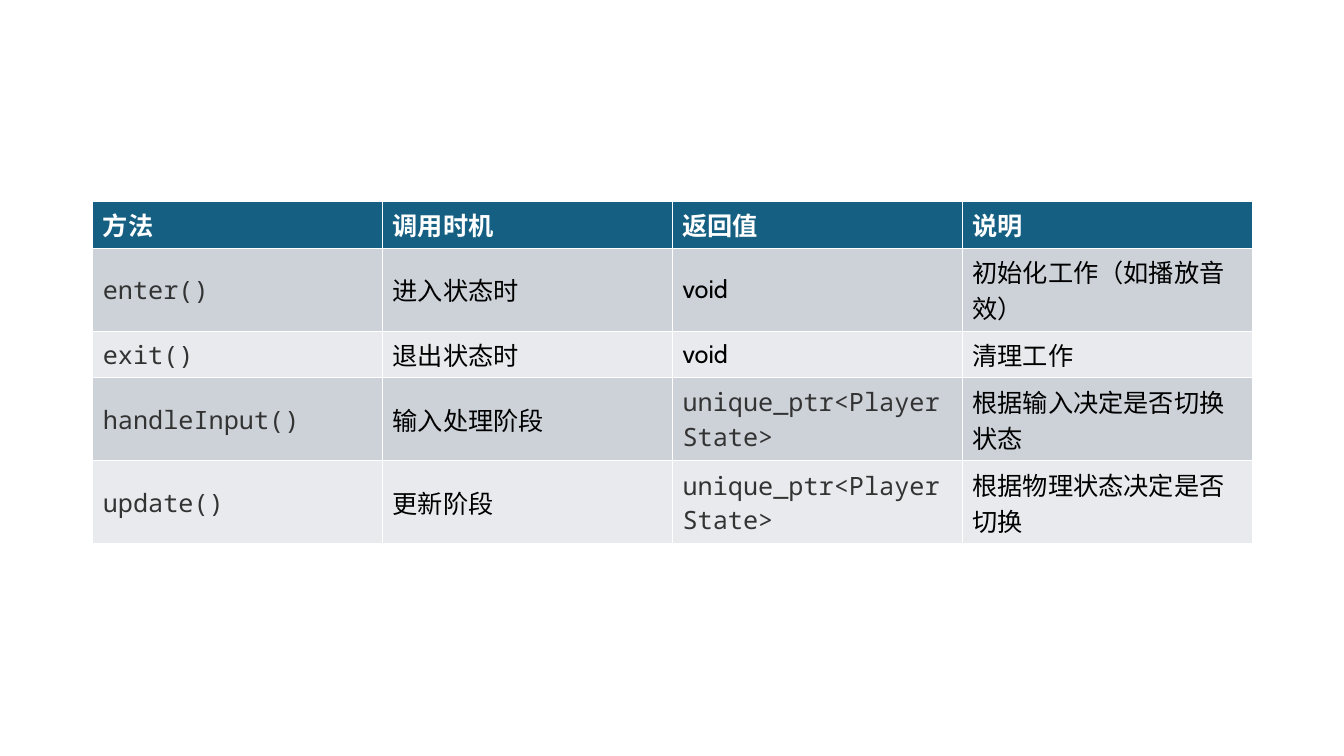
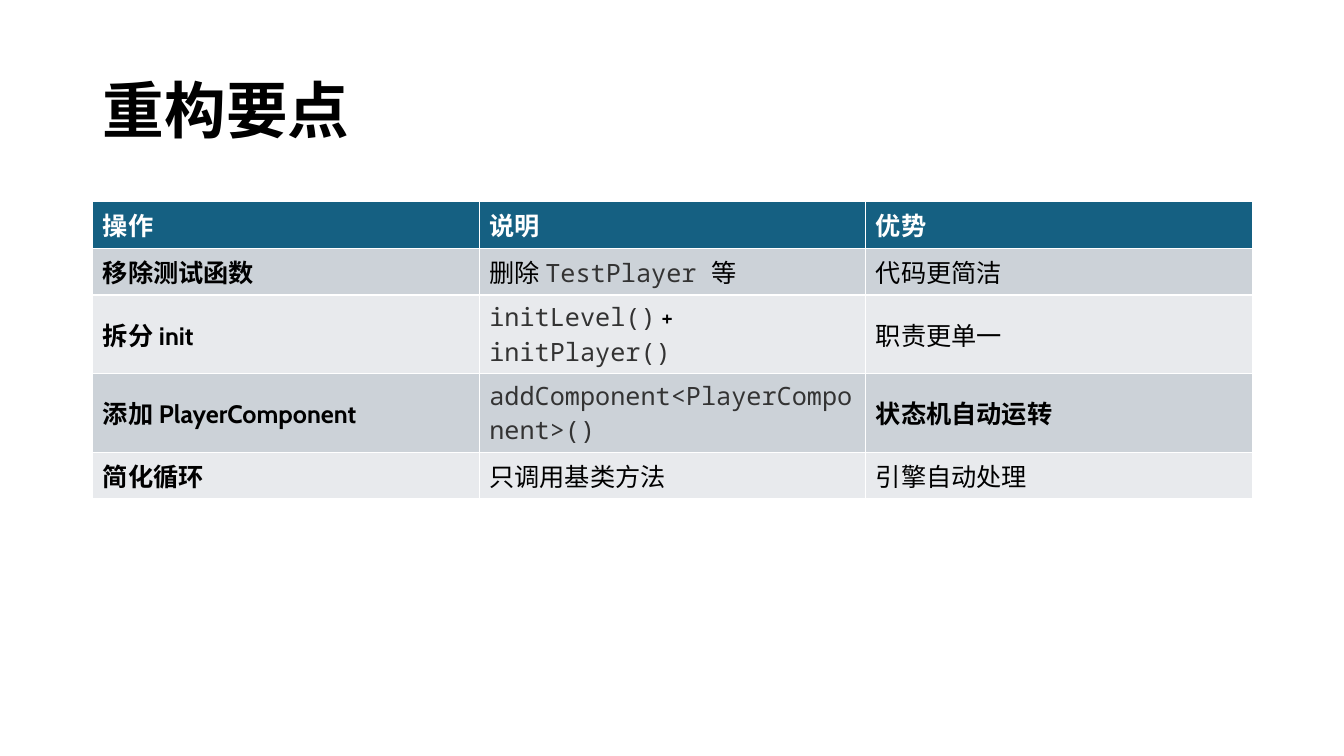
from pptx import Presentation
from pptx import util as u
from pptx.dml.color import RGBColor
from pptx.enum import lang, text

COLORS = {"header": "156082", "odd": "CCD2D8", "even": "E8EAED",
          "white": "FFFFFF", "black": "000000", "code": "333333"}
BODY_FONT, CODE_FONT = "Cabin", "Noto Sans Mono"
CODE_MARK, BOLD_MARK = "`", "*"

SLIDES = [
    {"title": None, "rows": [
        ("方法", "调用时机", "返回值", "说明"),
        ("`enter()`", "进入状态时", "void", "初始化工作（如播放音效）"),
        ("`exit()`", "退出状态时", "void", "清理工作"),
        ("`handleInput()`", "输入处理阶段", "`unique_ptr<PlayerState>`", "根据输入决定是否切换状态"),
        ("`update()`", "更新阶段", "`unique_ptr<PlayerState>`", "根据物理状态决定是否切换"),
    ]},
    {"title": "重构要点", "rows": [
        ("操作", "说明", "优势"),
        ("*移除测试函数", "删除 `TestPlayer `等", "代码更简洁"),
        ("*拆分 init", "`initLevel()` + `initPlayer()`", "职责更单一"),
        ("*添加 PlayerComponent", "`addComponent<PlayerComponent>()`", "*状态机自动运转"),
        ("*简化循环", "只调用基类方法", "引擎自动处理"),
    ]},
]

WIDTH, HEIGHT = u.Inches(13.33), u.Inches(7.5)
LEFT, CONTENT_WIDTH = u.Inches(0.92), u.Inches(11.5)
TITLE_TOP, TITLE_HEIGHT = u.Inches(0.4), u.Inches(1.45)
TABLE_TOP, ROW_HEIGHT = u.Inches(2), u.Inches(0.41)
LAYOUT_TITLE_ONLY, LAYOUT_BLANK = 5, 6


def rgb(name):
    return RGBColor.from_string(COLORS[name])


def add_span(para, words, color, size=18, bold=False, name=BODY_FONT):
    span = para.add_run()
    span.text = words
    span.font.color.rgb = rgb(color)
    style = {"name": name, "size": u.Pt(size), "bold": bold,
             "language_id": lang.MSO_LANGUAGE_ID.SIMPLIFIED_CHINESE}
    for key, value in style.items():
        setattr(span.font, key, value)


def fill_cell(cell, words, row):
    header = row == 0
    cell.vertical_anchor = text.MSO_ANCHOR.MIDDLE
    cell.fill.solid()
    cell.fill.fore_color.rgb = rgb("header" if header else "odd" if row % 2 else "even")
    bold = header or words.startswith(BOLD_MARK)
    para = cell.text_frame.paragraphs[0]
    for index, part in enumerate(words.lstrip(BOLD_MARK).split(CODE_MARK)):
        if not part:
            continue
        if index % 2:
            add_span(para, part, "code", name=CODE_FONT)
        else:
            add_span(para, part, "white" if header else "black", bold=bold)


def add_grid(page, rows):
    count = len(rows[0])
    table = page.shapes.add_table(len(rows), count, LEFT, TABLE_TOP,
                                  CONTENT_WIDTH, ROW_HEIGHT * len(rows)).table
    for column in table.columns:
        column.width = CONTENT_WIDTH // count
    for row, entries in enumerate(rows):
        for column, words in enumerate(entries):
            fill_cell(table.cell(row, column), words, row)


def set_title(page, words):
    box = page.shapes.title
    place = {"left": LEFT, "top": TITLE_TOP, "width": CONTENT_WIDTH, "height": TITLE_HEIGHT}
    for key, value in place.items():
        setattr(box, key, value)
    box.text_frame.vertical_anchor = text.MSO_ANCHOR.MIDDLE
    para = box.text_frame.paragraphs[0]
    para.alignment = text.PP_ALIGN.LEFT
    para.line_spacing = 0.9
    add_span(para, words, "black", size=44, bold=True)


def main():
    deck = Presentation()
    deck.slide_width, deck.slide_height = WIDTH, HEIGHT
    for content in SLIDES:
        layout = LAYOUT_TITLE_ONLY if content["title"] else LAYOUT_BLANK
        page = deck.slides.add_slide(deck.slide_layouts[layout])
        if content["title"]:
            set_title(page, content["title"])
        add_grid(page, content["rows"])
    deck.save("out.pptx")


if __name__ == "__main__":
    main()
